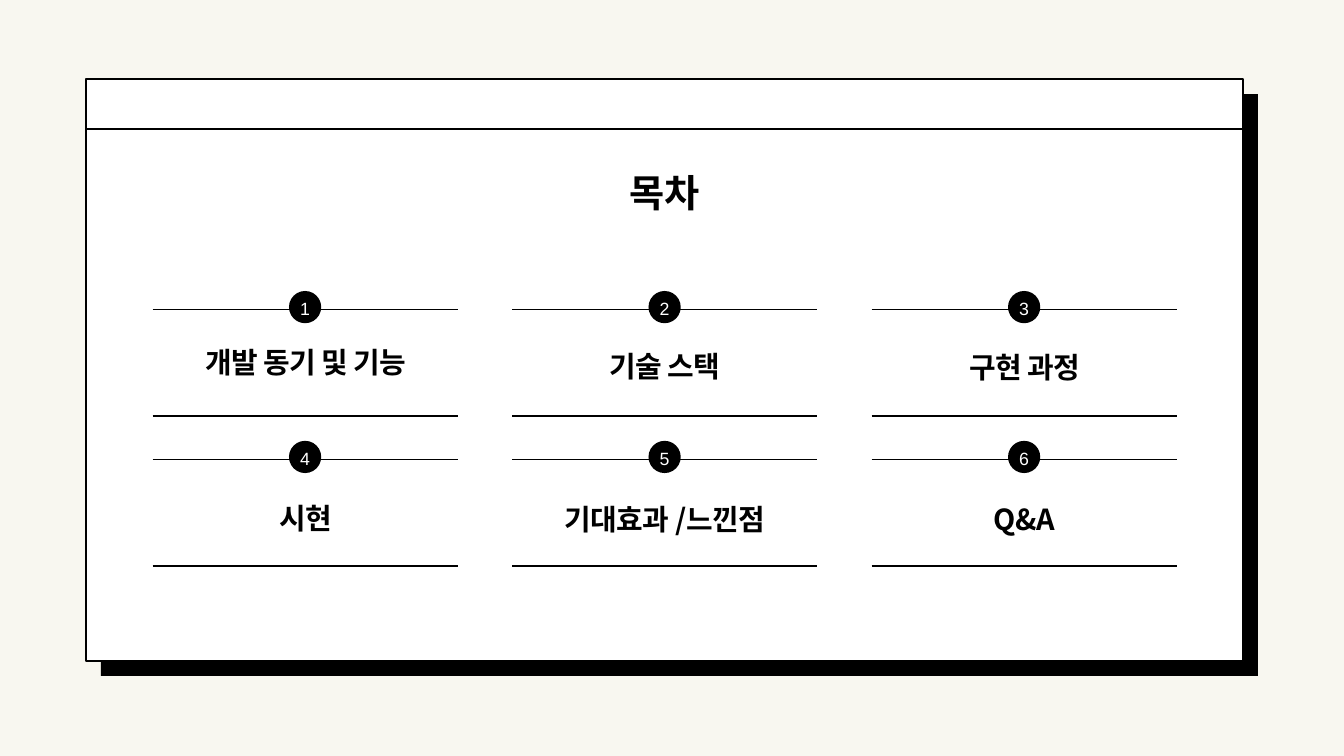
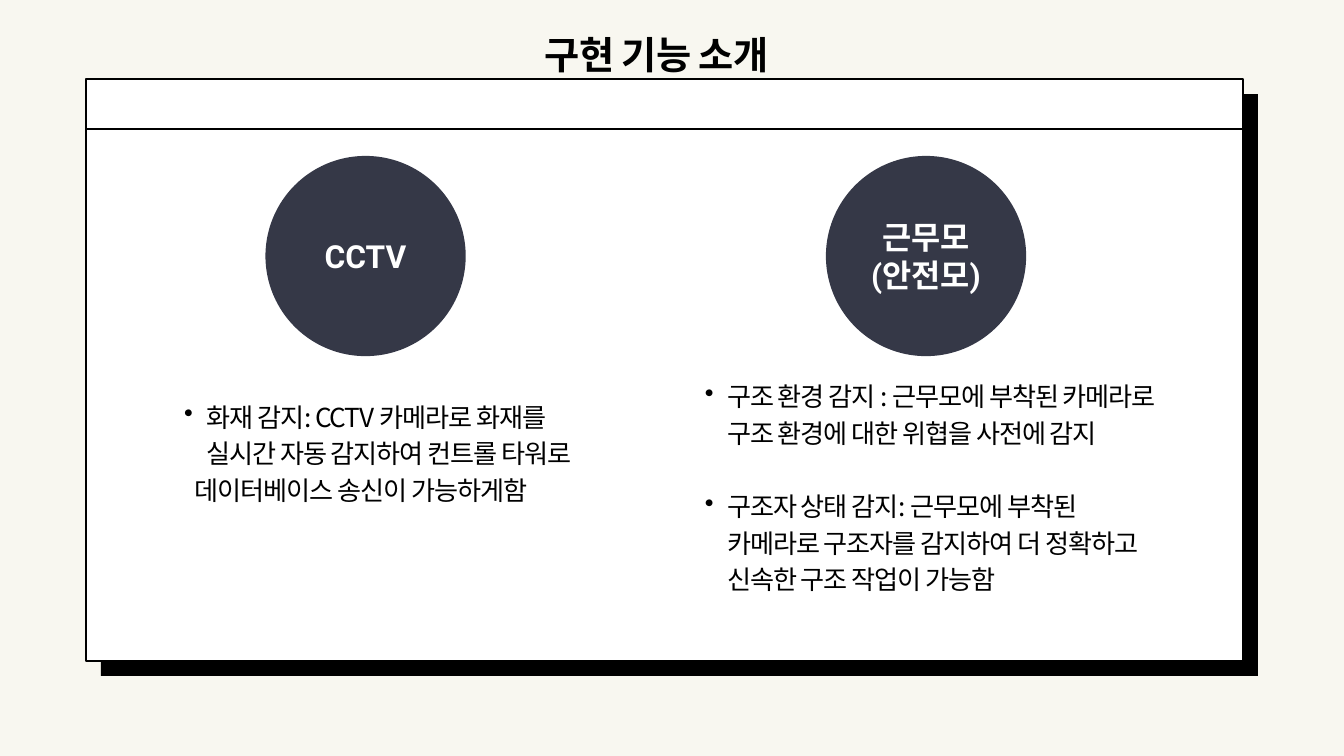
from collections import namedtuple

from lxml import etree
from pptx import Presentation
from pptx.dml.color import RGBColor
from pptx.enum.shapes import MSO_CONNECTOR, MSO_SHAPE
from pptx.enum.text import MSO_ANCHOR, PP_ALIGN
from pptx.oxml.ns import qn
from pptx.util import Inches, Pt

RECTANGLE, OVAL = MSO_SHAPE.RECTANGLE, MSO_SHAPE.OVAL
STRAIGHT = MSO_CONNECTOR.STRAIGHT
LEFT, CENTER = PP_ALIGN.LEFT, PP_ALIGN.CENTER
TOP, MIDDLE = MSO_ANCHOR.TOP, MSO_ANCHOR.MIDDLE

COLORS = {"paper": "F8F7F0", "ink": "000000", "white": "FFFFFF", "navy": "353847"}
KOREAN, DIGITS, LATIN = "Noto Sans CJK KR", "Arial", "Roboto"

# The slide is a grid of 20 columns by 11.25 rows.
COLUMNS, ROWS = 20, 11.25
SLIDE_WIDTH = Inches(20)
UNIT = SLIDE_WIDTH / COLUMNS

Box = namedtuple("Box", "x y w h")
WINDOW = Box(1.28, 1.18, 17.22, 8.66)
SHADOW_OFFSET = 0.22
TITLE_BAR = 0.74

AGENDA = [
    ("개발 동기 및 기능", 0.43), ("기술 스택", 0.49), ("구현 과정", 0.51),
    ("시현", 0.53), ("기대효과 /느낀점", 0.54), ("Q&A", 0.54),
]
AGENDA_COLUMNS = 3

# Each paragraph: text, bulleted, left indent, space before in points.
CCTV_POINTS = [
    ("화재 감지: CCTV 카메라로 화재를 실시간 자동 감지하여 컨트롤 타워로", True, 0.66, 0),
    ("데이터베이스 송신이 가능하게함", False, 0.49, 0),
]
HELMET_POINTS = [
    ("구조 환경 감지 : 근무모에 부착된 카메라로 구조 환경에 대한 위협을 사전에 감지",
     True, 0.66, 0),
    ("구조자 상태 감지: 근무모에 부착된 카메라로 구조자를 감지하여 더 정확하고 "
     "신속한 구조 작업이 가능함", True, 0.66, 39.2),
]


def grid(*lengths):
    return [round(length * UNIT) for length in lengths]


def inside(box, x, y, w, h):
    """Box placed at an offset from another box's corner."""
    return Box(box.x + x, box.y + y, w, h)


def color(name):
    return RGBColor.from_string(COLORS[name])


def add_panel(slide, kind, box, fill, line_width=0):
    panel = slide.shapes.add_shape(kind, *grid(*box))
    panel.shadow.inherit = False
    panel.fill.solid()
    panel.fill.fore_color.rgb = color(fill)
    if line_width:
        panel.line.color.rgb = color("ink")
        panel.line.width = Pt(line_width)
    else:
        panel.line.fill.background()
    return panel


def add_rule(slide, x, y, length, width):
    rule = slide.shapes.add_connector(STRAIGHT, *grid(x, y, x + length, y))
    rule.line.color.rgb = color("ink")
    rule.line.width = Pt(width)
    etree.SubElement(rule._element.spPr, qn("a:effectLst"))


def write(frame, text, *, size, leading, font=KOREAN, ink="ink", bold=False,
          tracking=0, align=CENTER, anchor=TOP, bullet=False, indent=0,
          before=0, first=True):
    """Set the first paragraph of a frame, or append one."""
    if first:
        frame.word_wrap = True
        frame.vertical_anchor = anchor
        frame.margin_left = frame.margin_right = 0
        frame.margin_top = frame.margin_bottom = 0
    paragraph = frame.paragraphs[0] if first else frame.add_paragraph()
    properties = paragraph._p.get_or_add_pPr()
    if indent:
        properties.set("marL", str(grid(indent)[0]))
    if bullet:
        properties.set("indent", str(grid(-0.33)[0]))
        etree.SubElement(properties, qn("a:buChar"), char="•")
    paragraph.alignment = align
    paragraph.line_spacing = Pt(leading)
    if before:
        paragraph.space_before = Pt(before)
    run = paragraph.add_run()
    run.text = text
    run.font.size, run.font.bold, run.font.name = Pt(size), bold, font
    run.font.color.rgb = color(ink)
    run_properties = run._r.get_or_add_rPr()
    etree.SubElement(run_properties, qn("a:ea"), typeface=font)
    if tracking:
        run_properties.set("spc", str(round(tracking * 100)))


def add_text(slide, box, text, **style):
    write(slide.shapes.add_textbox(*grid(*box)).text_frame, text, **style)


def add_window_slide(deck, title, title_box):
    """Slide with the title and a framed window that casts a hard shadow."""
    slide = deck.slides.add_slide(deck.slide_layouts[6])
    slide.background.fill.solid()
    slide.background.fill.fore_color.rgb = color("paper")
    shadow = inside(WINDOW, SHADOW_OFFSET, SHADOW_OFFSET, WINDOW.w, WINDOW.h)
    add_panel(slide, RECTANGLE, shadow, "ink")
    add_panel(slide, RECTANGLE, WINDOW, "white", 2.25)
    add_rule(slide, WINDOW.x, WINDOW.y + TITLE_BAR, WINDOW.w, 2.25)
    add_text(slide, title_box, title, size=41, leading=57.4, bold=True, tracking=-0.8)
    return slide


def add_agenda_item(slide, box, number, label, label_drop):
    for y in (box.y, box.y + box.h):
        add_rule(slide, box.x, y, box.w, 1.5)
    badge = add_panel(slide, OVAL, inside(box, box.w / 2 - 0.24, -0.28, 0.48, 0.48), "ink")
    write(badge.text_frame, str(number), size=19, leading=26.6, font=DIGITS,
          ink="white", anchor=MIDDLE)
    add_text(slide, inside(box, -0.4, label_drop, box.w + 0.81, 0.58), label,
             size=31, leading=43.4, bold=True, tracking=-0.6)


def add_agenda(slide, box):
    item_width, item_height = 4.54, 1.58
    column_pitch = (box.w - item_width) / (AGENDA_COLUMNS - 1)
    row_pitch = box.h - item_height
    for index, (label, label_drop) in enumerate(AGENDA):
        row, column = divmod(index, AGENDA_COLUMNS)
        item = inside(box, column * column_pitch, row * row_pitch, item_width, item_height)
        add_agenda_item(slide, item, index + 1, label, label_drop)


def add_feature(slide, circle_box, lines, points_box, points):
    """Named circle with its explanation below."""
    circle = add_panel(slide, OVAL, circle_box, "navy")
    for index, line in enumerate(lines):
        write(circle.text_frame, line, size=34, leading=40.8, font=LATIN, ink="white",
              bold=True, anchor=MIDDLE, first=index == 0)
    frame = slide.shapes.add_textbox(*grid(*points_box)).text_frame
    for index, (text, bullet, indent, before) in enumerate(points):
        write(frame, text, size=28, leading=39.2, tracking=-1.1, align=LEFT,
              bullet=bullet, indent=indent, before=before, first=index == 0)


def add_features(slide, box):
    diameter, circle_top = 2.98, 1.14
    add_feature(slide, inside(box, 2.67, circle_top, diameter, diameter), ["CCTV"],
                inside(box, 1.13, 4.71, 6.42, 1.63), CCTV_POINTS)
    add_feature(slide, inside(box, 11.01, circle_top, diameter, diameter),
                ["근무모", "(안전모)"],
                inside(box, 8.88, 4.41, 7.24, 3.83), HELMET_POINTS)


def main():
    deck = Presentation()
    deck.slide_width, deck.slide_height = SLIDE_WIDTH, grid(ROWS)[0]
    contents = add_window_slide(deck, "목차", Box(6.75, 2.4, 6.28, 0.77))
    add_agenda(contents, inside(WINDOW, 0.99, 3.43, 15.24, 3.81))
    functions = add_window_slide(deck, "구현 기능 소개", Box(6.63, 0.35, 6.28, 0.77))
    add_features(functions, WINDOW)
    deck.save("out.pptx")


if __name__ == "__main__":
    main()
